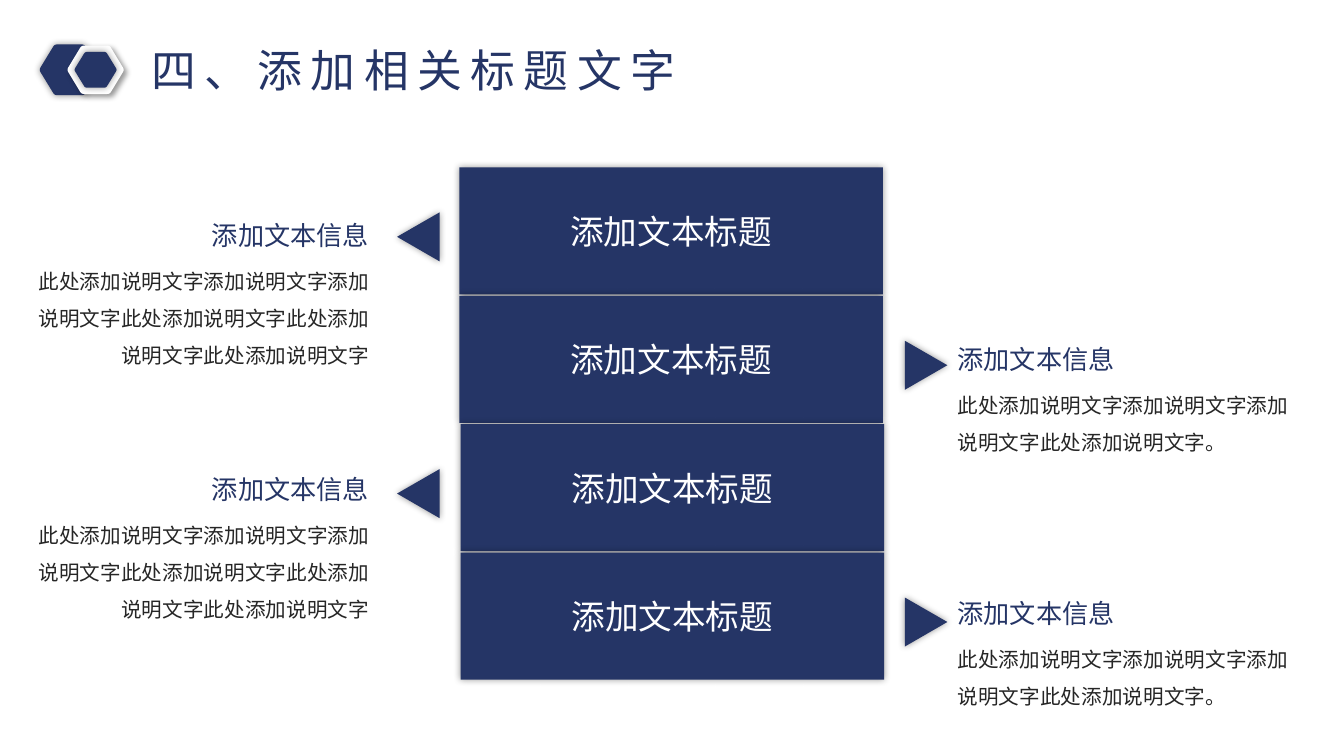
"""Build a slide with four stacked title bars and a note beside each one."""
from math import hypot
from pptx import Presentation
from pptx.dml.color import RGBColor as Rgb
from pptx.enum.shapes import MSO_SHAPE as Shape
from pptx.enum.text import MSO_ANCHOR as Anchor, MSO_AUTO_SIZE as Fit, PP_ALIGN as Align
from pptx.oxml import parse_xml
from pptx.util import Cm, Pt

TITLE = "四、添加相关标题文字"
BARS = ["添加文本标题"] * 4
HEAD = "添加文本信息"
LONG = "此处添加说明文字添加说明文字添加说明文字此处添加说明文字此处添加说明文字此处添加说明文字"
SHORT = "此处添加说明文字添加说明文字添加说明文字此处添加说明文字。"
NOTES = [(HEAD, LONG), (HEAD, SHORT), (HEAD, LONG), (HEAD, SHORT)]
THEME = {
    "font": "Noto Sans CJK SC",
    "navy": Rgb.from_string("253566"),
    "white": Rgb.from_string("FFFFFF"),
    "ink": Rgb.from_string("262626"),
    "title": Pt(32), "bar": Pt(24), "head": Pt(18.7), "body": Pt(14.7),
}
GLOW, DROP = (5, 0, 0), (4, 3, 45)
BAR = {"left": 11.58, "top": 4.22, "wide": 10.67, "high": 3.2, "step": 3.235}
SIDES = [
    {"note": 0.66, "top": 5.41, "mark": 10.19, "turn": 30, "align": Align.RIGHT},
    {"note": 23.88, "top": 8.53, "mark": 22.45, "turn": 330, "align": Align.LEFT},
]
NS = "http://schemas.openxmlformats.org/drawingml/2006/main"


def style(item, **vals):
    for key, val in vals.items():
        setattr(item, key, val)


def paint(shape, tone, shade):
    shape.fill.solid()
    shape.fill.fore_color.rgb = THEME[tone]
    shape.line.fill.background()
    shape.shadow.inherit = False
    blur, dist, turn = shade
    glow = parse_xml(
        f'<a:outerShdw xmlns:a="{NS}" blurRad="{Pt(blur)}" dist="{Pt(dist)}" '
        f'dir="{turn * 60000}" algn="ctr" rotWithShape="0">'
        '<a:srgbClr val="000000"><a:alpha val="40000"/></a:srgbClr></a:outerShdw>')
    shape._element.spPr.find(f"{{{NS}}}effectLst").append(glow)


def write(para, text, size, tone, gap=0, **vals):
    style(para, **vals)
    run = para.add_run()
    run.text = text
    style(run.font, size=THEME[size], name=THEME["font"])
    run.font.color.rgb = THEME[tone]
    props = run._r.get_or_add_rPr()
    props.append(parse_xml(f'<a:ea xmlns:a="{NS}" typeface="{THEME["font"]}"/>'))
    if gap:
        props.set("spc", str(gap * 100))


def box(shapes, *area, **vals):
    frame = shapes.add_textbox(*map(Cm, area)).text_frame
    style(frame, **vals)
    return frame


def hexa(shapes, mid, half, tone, shade):
    """Draw a hexagon with softly rounded corners."""
    (x, y), (w, h) = mid, half
    tips = [(x + a * w, y + b * h) for a, b in
            [(1.02, 0), (.5, 1), (-.5, 1), (-1.02, 0), (-.5, -1), (.5, -1)]]
    dots = []
    for i, tip in enumerate(tips):
        ends = []
        for near in (tips[i - 1], tips[(i + 1) % 6]):
            part = .09 * w / hypot(near[0] - tip[0], near[1] - tip[1])
            ends.append([t + part * (n - t) for t, n in zip(tip, near)])
        for t in (0, .25, .5, .75, 1):
            dots.append(tuple(Cm((1 - t) ** 2 * a + 2 * t * (1 - t) * c + t * t * b)
                              for a, b, c in zip(*ends, tip)))
    pen = shapes.build_freeform(*dots[0])
    pen.add_line_segments(dots[1:], close=True)
    paint(pen.convert_to_shape(), tone, shade)


def main():
    deck = Presentation()
    style(deck, slide_width=Cm(33.87), slide_height=Cm(19.05))
    shapes = deck.slides.add_slide(deck.slide_layouts[6]).shapes

    hexa(shapes, (1.75, 1.76), (.75, .64), "navy", GLOW)
    badge = shapes.add_group_shape().shapes
    hexa(badge, (2.41, 1.76), (.71, .61), "white", DROP)
    hexa(badge, (2.41, 1.76), (.53, .45), "navy", GLOW)

    frame = box(shapes, 3.56, .94, 14.05, 1.63, word_wrap=False,
                auto_size=Fit.SHAPE_TO_FIT_TEXT)
    write(frame.paragraphs[0], TITLE, "title", "navy", gap=6)

    for i, text in enumerate(BARS):
        bar = shapes.add_shape(Shape.RECTANGLE, Cm(BAR["left"] + .03 * (i // 2)),
                               Cm(BAR["top"] + i * BAR["step"]),
                               Cm(BAR["wide"]), Cm(BAR["high"]))
        paint(bar, "navy", GLOW)
        style(bar.text_frame, word_wrap=True, vertical_anchor=Anchor.MIDDLE)
        write(bar.text_frame.paragraphs[0], text, "bar", "white", alignment=Align.CENTER)

    for i, (head, body) in enumerate(NOTES):
        side = SIDES[i % 2]
        mark = shapes.add_shape(Shape.ISOSCELES_TRIANGLE, Cm(side["mark"]),
                                Cm(5.28 + i * BAR["step"]), Cm(1.24), Cm(1.07))
        mark.rotation = side["turn"]
        paint(mark, "navy", GLOW)
        frame = box(shapes, side["note"], side["top"] + 6.4 * (i // 2), 8.89, 4.04,
                    word_wrap=True)
        write(frame.paragraphs[0], head, "head", "navy", alignment=side["align"])
        write(frame.add_paragraph(), body, "body", "ink", alignment=side["align"],
              line_spacing=1.5, space_before=Pt(4))

    deck.save("out.pptx")


if __name__ == "__main__":
    main()
